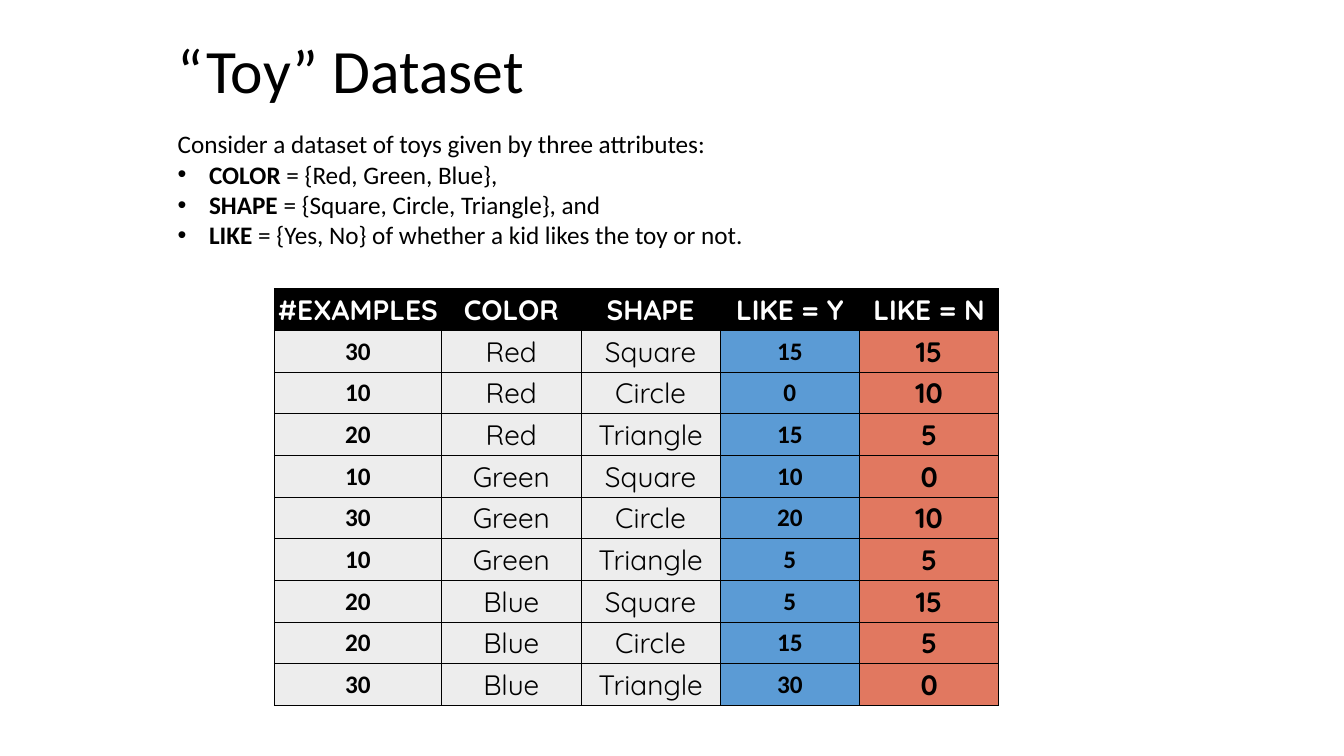
from itertools import product

from lxml.etree import SubElement
from pptx import Presentation
from pptx.dml.color import RGBColor
from pptx.enum.text import MSO_ANCHOR as Anchor, MSO_AUTO_SIZE as AutoSize, PP_ALIGN as Align
from pptx.oxml.ns import qn
from pptx.util import Cm, Pt

BLACK = RGBColor(0x00, 0x00, 0x00)
WHITE = RGBColor(0xFF, 0xFF, 0xFF)
GREY = RGBColor(0xED, 0xED, 0xED)
BLUE = RGBColor(0x5B, 0x9B, 0xD5)
CORAL = RGBColor(0xE1, 0x78, 0x60)

HEADERS = ["#EXAMPLES", "COLOR", "SHAPE", "LIKE = Y", "LIKE = N"]
COLORS = ["Red", "Green", "Blue"]
SHAPES = ["Square", "Circle", "Triangle"]
LIKES = [(15, 15), (0, 10), (15, 5), (10, 0), (20, 10), (5, 5), (5, 15), (15, 5), (30, 0)]
# Fill, font, size and weight of each column below the header
COLUMN_STYLES = [
    (GREY, "Calibri", 18, True),
    (GREY, "Quicksand", 20, False),
    (GREY, "Quicksand", 20, False),
    (BLUE, "Calibri", 18, True),
    (CORAL, "Quicksand", 20, True),
]
ATTRIBUTES = [
    ("COLOR", " = {Red, Green, Blue},"),
    ("SHAPE", " = {Square, Circle, Triangle}, and"),
    ("LIKE", " = {Yes, No} of whether a kid likes the toy or not."),
]


def add_text(paragraph, text, font="Calibri", size=18, bold=False, color=BLACK, align=Align.LEFT):
    paragraph.alignment = align
    run = paragraph.add_run()
    run.text = text
    run.font.name = font
    run.font.size = Pt(size)
    run.font.bold = bold
    run.font.color.rgb = color


def add_bullet(paragraph):
    properties = paragraph._p.get_or_add_pPr()
    properties.set("marL", str(Cm(0.79)))
    properties.set("indent", str(-Cm(0.79)))
    SubElement(properties, qn("a:buFont"), typeface="Arial")
    SubElement(properties, qn("a:buChar"), char="•")


def add_borders(cell):
    properties = cell._tc.get_or_add_tcPr()
    for side in ("lnL", "lnR", "lnT", "lnB"):
        line = SubElement(properties, qn(f"a:{side}"), w=str(Pt(0.5)))
        fill = SubElement(line, qn("a:solidFill"))
        SubElement(fill, qn("a:srgbClr"), val=str(BLACK))


def fill_cell(cell, text, fill, **text_format):
    add_borders(cell)
    cell.fill.solid()
    cell.fill.fore_color.rgb = fill
    cell.vertical_anchor = Anchor.MIDDLE
    cell.margin_left = cell.margin_right = cell.margin_top = Cm(0.03)
    cell.margin_bottom = 0
    add_text(cell.text_frame.paragraphs[0], text, align=Align.CENTER, **text_format)


def add_title(slide):
    title = slide.shapes.title
    title.left, title.top, title.width, title.height = Cm(4.23), Cm(0.58), Cm(24.77), Cm(2.54)
    frame = title.text_frame
    frame.auto_size = AutoSize.NONE
    frame.vertical_anchor = Anchor.MIDDLE
    paragraph = frame.paragraphs[0]
    paragraph.line_spacing = 0.9
    add_text(paragraph, "“Toy” Dataset", size=44)


def add_description(slide):
    box = slide.shapes.add_textbox(Cm(4.23), Cm(3.12), Cm(21.16), Cm(3.33))
    frame = box.text_frame
    frame.word_wrap = True
    frame.auto_size = AutoSize.SHAPE_TO_FIT_TEXT
    add_text(frame.paragraphs[0], "Consider a dataset of toys given by three attributes:")
    for name, values in ATTRIBUTES:
        paragraph = frame.add_paragraph()
        add_bullet(paragraph)
        add_text(paragraph, name, bold=True)
        add_text(paragraph, values)


def add_toy_table(slide):
    # The number of examples is the sum of both answers
    rows = [
        (yes + no, color, shape, yes, no)
        for (color, shape), (yes, no) in zip(product(COLORS, SHAPES), LIKES)
    ]
    frame = slide.shapes.add_table(
        len(rows) + 1, len(HEADERS), Cm(6.91), Cm(7.27), Cm(18.26), Cm(10.5)
    )
    table = frame.table
    for index, column in enumerate(table.columns):
        column.width = Cm(3.51) if index else Cm(4.22)
    for row in table.rows:
        row.height = Cm(1.05)

    for index, header in enumerate(HEADERS):
        fill_cell(table.cell(0, index), header, BLACK,
                  font="Quicksand", size=20, bold=True, color=WHITE)
    for row_index, values in enumerate(rows, start=1):
        for index, (value, style) in enumerate(zip(values, COLUMN_STYLES)):
            fill, font, size, bold = style
            fill_cell(table.cell(row_index, index), str(value), fill,
                      font=font, size=size, bold=bold)


def main():
    presentation = Presentation()
    presentation.slide_width = Cm(33.87)
    presentation.slide_height = Cm(19.05)
    slide = presentation.slides.add_slide(presentation.slide_layouts.get_by_name("Title Only"))
    add_title(slide)
    add_toy_table(slide)
    add_description(slide)
    presentation.save("out.pptx")


if __name__ == "__main__":
    main()
